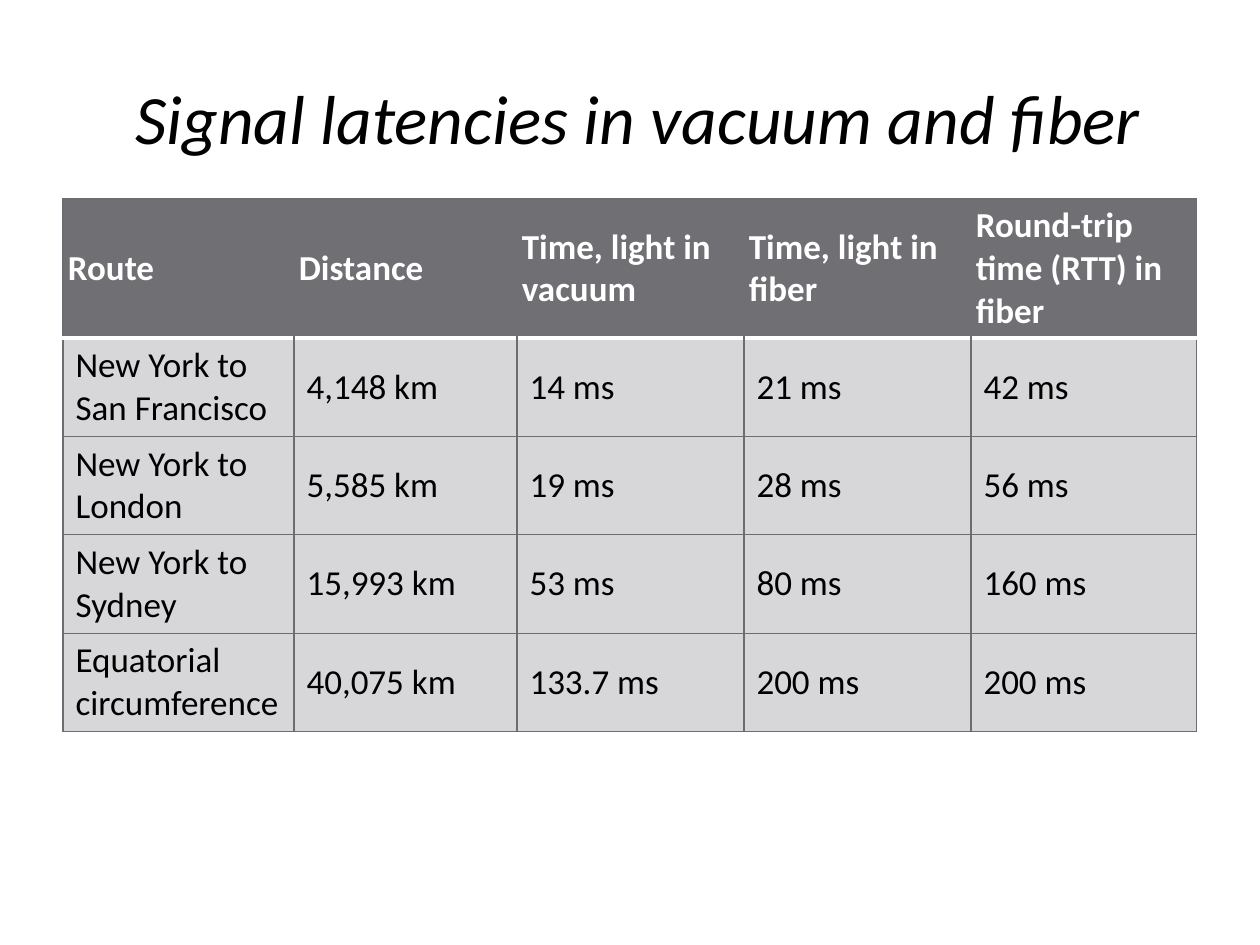
from pptx import Presentation
from pptx.dml.color import RGBColor
from pptx.enum.text import MSO_ANCHOR, PP_ALIGN
from pptx.oxml.ns import qn
from pptx.util import Pt
from lxml import etree

MIDDLE = MSO_ANCHOR.MIDDLE
LEFT, CENTER = PP_ALIGN.LEFT, PP_ALIGN.CENTER

TITLE = " Signal latencies in vacuum and fiber"
HEADER = ["Route", "Distance", "Time, light in vacuum", "Time, light in fiber",
          "Round-trip time (RTT) in fiber"]
ROUTES = [
    ["New York to San Francisco", "4,148 km", "14 ms", "21 ms", "42 ms"],
    ["New York to London", "5,585 km", "19 ms", "28 ms", "56 ms"],
    ["New York to Sydney", "15,993 km", "53 ms", "80 ms", "160 ms"],
    ["Equatorial circumference", "40,075 km", "133.7 ms", "200 ms", "200 ms"],
]

COLORS = {"text": "000000", "header_text": "FFFFFF", "header": "6F6F74",
          "body": "D7D7D9", "grid": "6C6C72", "rule": "FFFFFF"}
FONT = "Calibri"
GRID, RULE = (COLORS["grid"], 0.75), (COLORS["rule"], 2)

SLIDE_W, SLIDE_H = 1260, 945
MARGIN = 63
TITLE_TOP, TITLE_H = 38, 158
TABLE_TOP = 199
COL_WIDTHS = [231, 223, 227, 227, 226]
HEADER_H, ROW_H = 139, 98
HEADER_INSET = 5


def px(n):
    return round(n * 914400 / 126)


def write(tf, text, size=20, color="text", bold=False, italic=False, align=LEFT):
    p = tf.paragraphs[0]
    p.alignment = align
    r = p.add_run()
    r.text = text
    r.font.name = FONT
    r.font.size = Pt(size)
    r.font.bold = bold
    r.font.italic = italic
    r.font.color.rgb = RGBColor.from_string(COLORS[color])


def set_borders(cell, **sides):
    """Draw the L, R, T and B edges, each (colour, points) or None for no line."""
    tc_pr = cell._tc.get_or_add_tcPr()
    for side in "LRTB":
        line = sides[side]
        ln = etree.SubElement(tc_pr, qn(f"a:ln{side}"))
        if line is None:
            etree.SubElement(ln, qn("a:noFill"))
            continue
        color, points = line
        ln.set("w", str(Pt(points)))
        fill = etree.SubElement(ln, qn("a:solidFill"))
        etree.SubElement(fill, qn("a:srgbClr"), val=color)


def fill_cell(cell, color):
    cell.fill.solid()
    cell.fill.fore_color.rgb = RGBColor.from_string(COLORS[color])
    cell.vertical_anchor = MIDDLE


def add_title(slide):
    sp = slide.shapes.title
    sp.left, sp.top = px(MARGIN), px(TITLE_TOP)
    sp.width, sp.height = px(sum(COL_WIDTHS)), px(TITLE_H)
    sp.text_frame.vertical_anchor = MIDDLE
    write(sp.text_frame, TITLE, size=39.6, italic=True, align=CENTER)


def add_latency_table(slide):
    heights = [HEADER_H] + [ROW_H] * len(ROUTES)
    table = slide.shapes.add_table(
        len(heights), len(COL_WIDTHS), px(MARGIN), px(TABLE_TOP),
        px(sum(COL_WIDTHS)), px(sum(heights))).table
    for column, width in zip(table.columns, COL_WIDTHS):
        column.width = px(width)
    for row, height in zip(table.rows, heights):
        row.height = px(height)

    last = len(HEADER) - 1
    for c, text in enumerate(HEADER):
        cell = table.cell(0, c)
        set_borders(cell, L=GRID if c == 0 else None,
                    R=GRID if c == last else None, T=GRID, B=RULE)
        fill_cell(cell, "header")
        cell.margin_left = cell.margin_right = px(HEADER_INSET)
        cell.margin_top = cell.margin_bottom = px(HEADER_INSET)
        write(cell.text_frame, text, color="header_text", bold=True)

    for r, route in enumerate(ROUTES, start=1):
        for c, text in enumerate(route):
            cell = table.cell(r, c)
            set_borders(cell, L=GRID, R=GRID, T=RULE if r == 1 else GRID, B=GRID)
            fill_cell(cell, "body")
            write(cell.text_frame, text)


def main():
    prs = Presentation()
    prs.slide_width, prs.slide_height = px(SLIDE_W), px(SLIDE_H)
    slide = prs.slides.add_slide(prs.slide_layouts.get_by_name("Title Only"))
    add_title(slide)
    add_latency_table(slide)
    prs.save("out.pptx")


if __name__ == "__main__":
    main()
